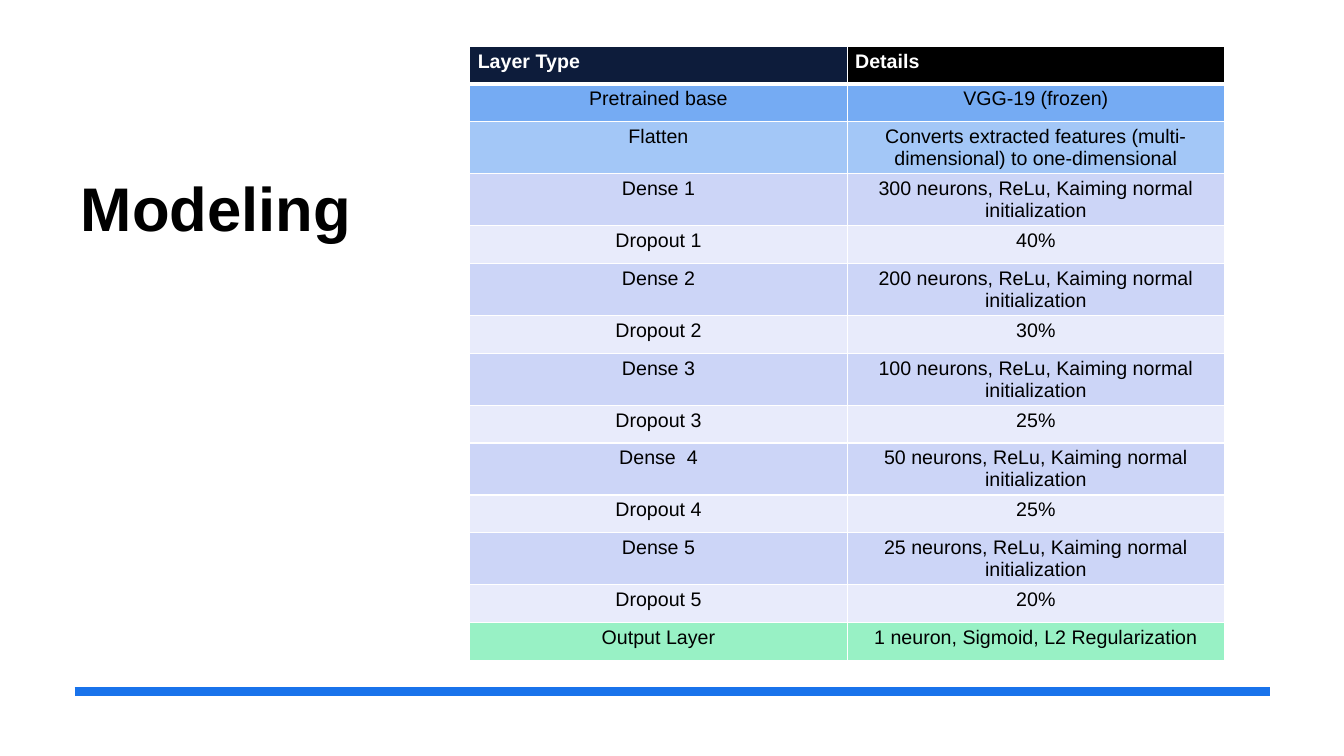
from dataclasses import dataclass

from lxml.etree import SubElement
from pptx import Presentation
from pptx.dml.color import RGBColor
from pptx.enum.shapes import MSO_CONNECTOR
from pptx.enum.text import MSO_ANCHOR, PP_ALIGN
from pptx.oxml.ns import qn
from pptx.util import Cm, Pt


@dataclass(frozen=True)
class Theme:
    font: str = "Arial"
    title_size: int = 44
    table_size: int = 14
    dark: str = "000000"
    light: str = "FFFFFF"
    accent: str = "1973EB"
    header_fills: tuple = ("0D1C3B", "000000")
    base_fill: str = "75ABF3"
    flatten_fill: str = "A3C7F7"
    dense_fill: str = "CCD5F7"
    dropout_fill: str = "E8EBFB"
    output_fill: str = "98F1C5"


THEME = Theme()
HEADERS = ("Layer Type", "Details")
HIDDEN_BLOCKS = (
    ("Dense 1", 300, "Dropout 1", 40),
    ("Dense 2", 200, "Dropout 2", 30),
    ("Dense 3", 100, "Dropout 3", 25),
    ("Dense  4", 50, "Dropout 4", 25),
    ("Dense 5", 25, "Dropout 5", 20),
)


def layer_rows():
    rows = [
        ("Pretrained base", "VGG-19 (frozen)", THEME.base_fill),
        ("Flatten", "Converts extracted features (multi-dimensional) to one-dimensional",
         THEME.flatten_fill),
    ]
    for dense, neurons, dropout, rate in HIDDEN_BLOCKS:
        details = f"{neurons} neurons, ReLu, Kaiming normal initialization"
        rows.append((dense, details, THEME.dense_fill))
        rows.append((dropout, f"{rate}%", THEME.dropout_fill))
    rows.append(("Output Layer", "1 neuron, Sigmoid, L2 Regularization", THEME.output_fill))
    return rows


def add_text(paragraph, text, size, color, bold, alignment):
    paragraph.alignment = alignment
    run = paragraph.add_run()
    run.text = text
    run.font.name = THEME.font
    run.font.size = Pt(size)
    run.font.bold = bold
    run.font.color.rgb = RGBColor.from_string(color)


def place_title(slide, left, top, width, height):
    title = slide.shapes.title
    title.left, title.top, title.width, title.height = left, top, width, height
    frame = title.text_frame
    frame.word_wrap = True
    frame.vertical_anchor = MSO_ANCHOR.TOP
    frame.margin_top = Cm(0.28)
    add_text(frame.paragraphs[0], "Modeling", THEME.title_size, THEME.dark, True, PP_ALIGN.LEFT)


def add_borders(cell, top, bottom):
    properties = cell._tc.get_or_add_tcPr()
    for side, width in (("L", 1), ("R", 1), ("T", top), ("B", bottom)):
        line = SubElement(properties, qn(f"a:ln{side}"), w=str(Pt(width)))
        fill = SubElement(line, qn("a:solidFill"))
        SubElement(fill, qn("a:srgbClr"), val=THEME.light)


def fill_cell(cell, text, fill, is_header, top=1, bottom=1):
    cell.margin_left = cell.margin_right = Cm(0.2)
    cell.margin_top = cell.margin_bottom = Cm(0.1)
    add_borders(cell, top, bottom)
    cell.fill.solid()
    cell.fill.fore_color.rgb = RGBColor.from_string(fill)
    color = THEME.light if is_header else THEME.dark
    alignment = PP_ALIGN.LEFT if is_header else PP_ALIGN.CENTER
    add_text(cell.text_frame.paragraphs[0], text, THEME.table_size, color, is_header, alignment)


def add_layer_table(slide, left, top, width, row_height):
    rows = layer_rows()
    row_count = len(rows) + 1
    table = slide.shapes.add_table(
        row_count, len(HEADERS), left, top, width, row_height * row_count).table
    for column, (text, fill) in enumerate(zip(HEADERS, THEME.header_fills)):
        fill_cell(table.cell(0, column), text, fill, True, bottom=3)
    for row, (layer, details, fill) in enumerate(rows, start=1):
        for column, text in enumerate((layer, details)):
            fill_cell(table.cell(row, column), text, fill, False, top=3 if row == 1 else 1)


def add_footer_rule(slide, left, top, width):
    rule = slide.shapes.add_connector(MSO_CONNECTOR.STRAIGHT, left, top, left + width, top)
    rule.line.color.rgb = RGBColor.from_string(THEME.accent)
    rule.line.width = Pt(6)
    SubElement(rule._element.spPr, qn("a:effectLst"))


def build_modeling_slide(presentation):
    slide = presentation.slides.add_slide(presentation.slide_layouts[5])
    place_title(slide, Cm(1.78), Cm(3.99), Cm(8.28), Cm(7.26))
    add_footer_rule(slide, Cm(1.88), Cm(17.42), Cm(30.12))
    add_layer_table(slide, Cm(11.84), Cm(1.17), Cm(19.02), Cm(0.95))


def main():
    presentation = Presentation()
    presentation.slide_width = Cm(33.87)
    presentation.slide_height = Cm(19.05)
    build_modeling_slide(presentation)
    presentation.save("out.pptx")


if __name__ == "__main__":
    main()
